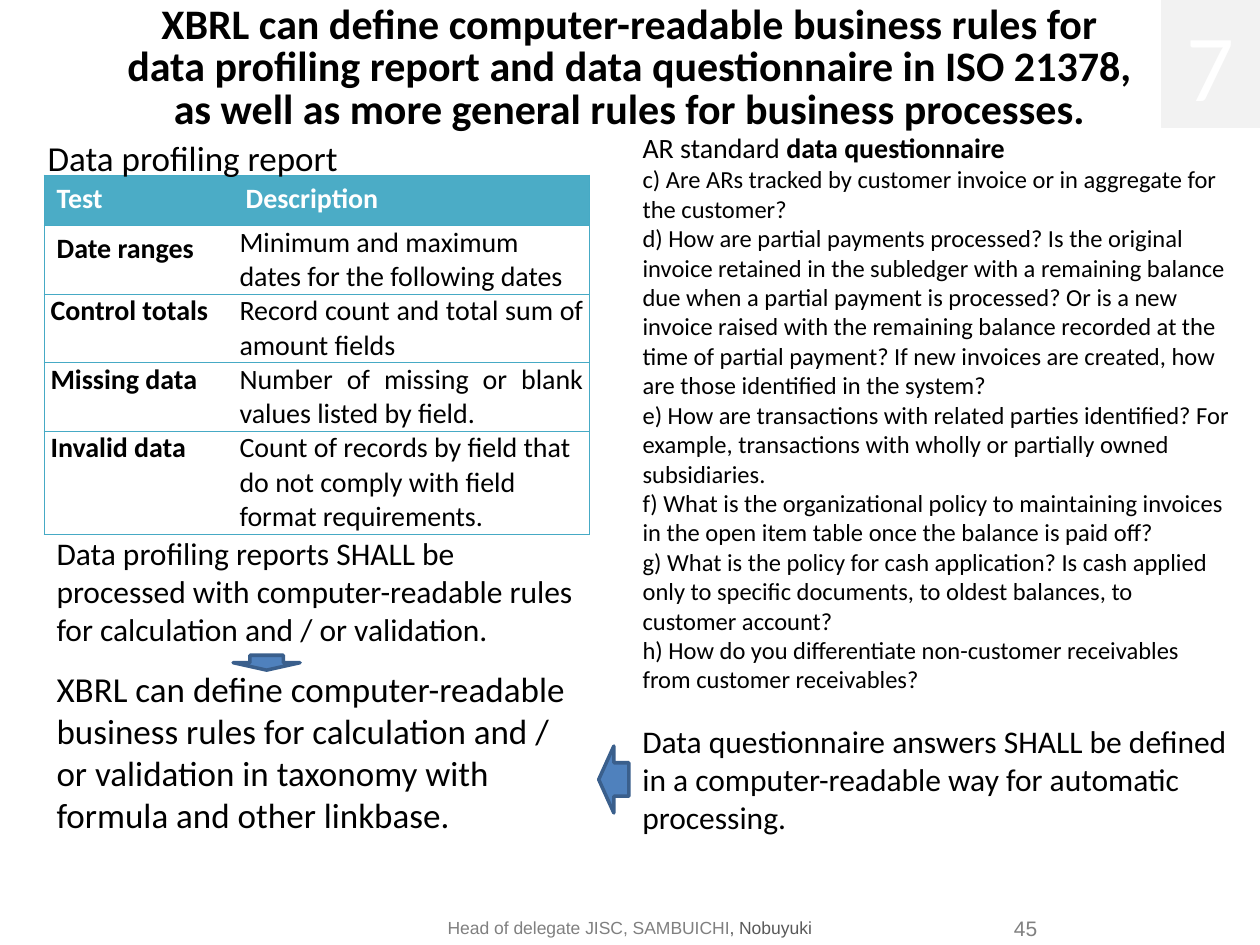
from dataclasses import dataclass

from lxml import etree
from pptx import Presentation
from pptx.dml.color import RGBColor
from pptx.enum.shapes import MSO_SHAPE
from pptx.enum.text import MSO_ANCHOR, MSO_AUTO_SIZE, PP_ALIGN
from pptx.oxml.ns import qn
from pptx.util import Cm, Pt

LEFT, CENTER, RIGHT, JUST = PP_ALIGN.LEFT, PP_ALIGN.CENTER, PP_ALIGN.RIGHT, PP_ALIGN.JUSTIFY
TOP, MIDDLE, BOTTOM = MSO_ANCHOR.TOP, MSO_ANCHOR.MIDDLE, MSO_ANCHOR.BOTTOM
RECT, DOWN, BACK = MSO_SHAPE.RECTANGLE, MSO_SHAPE.DOWN_ARROW, MSO_SHAPE.LEFT_ARROW
FIXED = MSO_AUTO_SIZE.NONE

BLACK = RGBColor(0x00, 0x00, 0x00)
WHITE = RGBColor(0xFF, 0xFF, 0xFF)
PALE = RGBColor(0xF2, 0xF2, 0xF2)
GRAY = RGBColor(0x80, 0x80, 0x80)
DARK = RGBColor(0x59, 0x59, 0x59)
TEAL = RGBColor(0x4B, 0xAC, 0xC6)
BLUE = RGBColor(0x4F, 0x81, 0xBD)
NAVY = RGBColor(0x3A, 0x5F, 0x8C)
EDGE = "46AAC5"


@dataclass
class Box:
    """Place and size in centimetres."""
    x: float
    y: float
    w: float
    h: float

    def lengths(self) -> tuple:
        return Cm(self.x), Cm(self.y), Cm(self.w), Cm(self.h)


@dataclass
class Note:
    box: Box
    texts: list
    size: int
    font: str = "Calibri"
    color: RGBColor = BLACK
    align: PP_ALIGN = LEFT
    anchor: MSO_ANCHOR = TOP


@dataclass
class Mark:
    kind: MSO_SHAPE
    box: Box
    fill: RGBColor
    line: RGBColor
    width: float


@dataclass
class Row:
    test: str
    about: str
    height: float
    align: PP_ALIGN = JUST
    roomy: bool = False


TITLE = ("XBRL can define computer-readable business rules for data profiling report "
         "and data questionnaire in ISO 21378, as well as more general rules for "
         "business processes.")

ITEMS = [
    "c) Are ARs tracked by customer invoice or in aggregate for the customer?",
    "d) How are partial payments processed? Is the original invoice retained in the "
    "subledger with a remaining balance due when a partial payment is processed? Or is a "
    "new invoice raised with the remaining balance recorded at the time of partial "
    "payment? If new invoices are created, how are those identified in the system?",
    "e) How are transactions with related parties identified? For example, transactions "
    "with wholly or partially owned subsidiaries.",
    "f) What is the organizational policy to maintaining invoices in the open item table "
    "once the balance is paid off?",
    "g) What is the policy for cash application? Is cash applied only to specific "
    "documents, to oldest balances, to customer account?",
    "h) How do you differentiate non-customer receivables from customer receivables?",
]

ROWS = [
    Row("Date ranges", "Minimum and maximum dates for the following dates", 1.38, LEFT, True),
    Row("Control totals", "Record count and total sum of amount fields", 1.38),
    Row("Missing data", "Number of missing or blank values listed by field.", 1.38),
    Row("Invalid data", "Count of records by field that do not comply with field format "
        "requirements.", 2.08, LEFT),
]

NOTES = [
    Note(Box(0.71, 2.62, 6.6, 1.12), ["Data profiling report"], 20),
    Note(Box(12.7, 14.43, 12.4, 2.57),
         ["Data questionnaire answers SHALL be defined in a computer-readable way for "
          "automatic processing."], 18),
    Note(Box(0.89, 10.64, 11, 2.57),
         ["Data profiling reports SHALL be processed with computer-readable rules for "
          "calculation and / or validation."], 18),
    Note(Box(0.89, 13.34, 11, 4.52),
         ["XBRL can define computer-readable business rules for calculation and / or "
          "validation in taxonomy with formula and other linkbase."], 20),
]
FOOTER = Note(Box(6.6, 18.36, 12.19, 0.69),
              ["Head of delegate JISC, SAMBUICHI", ", Nobuyuki"],
              10, "Arial", GRAY, CENTER, MIDDLE)
NUMBER = Note(Box(19.51, 18.26, 1.4, 0.79), ["45"], 12, "Arial", GRAY, RIGHT)

BADGE = Mark(RECT, Box(23.42, 0, 1.98, 2.57), PALE, PALE, 0.75)
ARROWS = [
    Mark(DOWN, Box(4.7, 13.21, 1.35, 0.3), BLUE, NAVY, 2),
    Mark(BACK, Box(12.07, 15.04, 0.61, 1.35), BLUE, NAVY, 2),
]


def style(run, size: float, color=BLACK, bold=False, font="Calibri") -> None:
    run.font.name, run.font.size = font, Pt(size)
    run.font.bold, run.font.color.rgb = bold, color


def inset(item, left: float, top: float, right: float, bottom: float) -> None:
    item.margin_left, item.margin_top = Cm(left), Cm(top)
    item.margin_right, item.margin_bottom = Cm(right), Cm(bottom)


def place(shape, box: Box) -> None:
    shape.left, shape.top, shape.width, shape.height = box.lengths()


def add_note(slide, note: Note):
    frame = slide.shapes.add_textbox(*note.box.lengths()).text_frame
    frame.word_wrap, frame.vertical_anchor = True, note.anchor
    para = frame.paragraphs[0]
    para.alignment = note.align
    for text in note.texts:
        run = para.add_run()
        run.text = text
        style(run, note.size, note.color, font=note.font)
    return frame


def add_mark(slide, mark: Mark):
    shape = slide.shapes.add_shape(mark.kind, *mark.box.lengths())
    shape.shadow.inherit = False
    shape.fill.solid()
    shape.fill.fore_color.rgb = mark.fill
    shape.line.color.rgb = mark.line
    shape.line.width = Pt(mark.width)
    return shape


def fill_title(slide) -> None:
    title = slide.shapes.title
    place(title, Box(2.49, 0, 20.4, 2.67))
    frame = title.text_frame
    frame.text = TITLE
    frame.auto_size, frame.vertical_anchor = FIXED, BOTTOM
    inset(frame, 0, 0, 0, 0)
    para = frame.paragraphs[0]
    para.alignment, para.line_spacing = CENTER, Pt(24)
    style(para.runs[0], 24, bold=True)


def fill_list(slide) -> None:
    body = slide.placeholders[1]
    place(body, Box(12.7, 2.51, 12.4, 11.71))
    frame = body.text_frame
    frame.text = "\n".join(["AR standard "] + ITEMS)
    frame.auto_size = FIXED
    for para in frame.paragraphs:
        para.space_before = Pt(0)
        props = para._p.get_or_add_pPr()
        props.set("marL", "0")
        props.set("indent", "0")
        etree.SubElement(props, qn("a:buNone"))
        style(para.runs[0], 14)
    head = frame.paragraphs[0]
    head.runs[0].font.size = Pt(16)
    term = head.add_run()
    term.text = "data questionnaire"
    style(term, 16, bold=True)


def set_edges(cell, shown: str) -> None:
    """Draw the sides named in shown (L, R, T, B) and hide the others."""
    props = cell._tc.get_or_add_tcPr()
    for spot, side in enumerate("LRTB"):
        line = etree.Element(qn(f"a:ln{side}"), w=str(Pt(0.75)))
        if side in shown:
            fill = etree.SubElement(line, qn("a:solidFill"))
            etree.SubElement(fill, qn("a:srgbClr"), val=EDGE)
        else:
            etree.SubElement(line, qn("a:noFill"))
        props.insert(spot, line)


def fill_cell(cell, text: str, col: int, head=False, align=LEFT, roomy=False) -> None:
    cell.text = text
    if head:
        cell.fill.solid()
        cell.fill.fore_color.rgb = TEAL
    else:
        cell.fill.background()
    if not roomy:
        inset(cell, 0.13, 0, 0.13, 0)
    para = cell.text_frame.paragraphs[0]
    para.alignment = align
    style(para.runs[0], 16, WHITE if head else BLACK, head or col == 0)
    set_edges(cell, "LTB" if col == 0 else "RTB")


def add_tests(slide) -> None:
    box = Box(0.89, 3.53, 11, 1.02 + sum(row.height for row in ROWS))
    table = slide.shapes.add_table(len(ROWS) + 1, 2, *box.lengths()).table
    table.first_row = table.horz_banding = False
    table.columns[0].width, table.columns[1].width = Cm(3.81), Cm(7.19)
    table.rows[0].height = Cm(1.02)
    for col, name in enumerate(["Test", "Description"]):
        fill_cell(table.cell(0, col), name, col, head=True, roomy=True)
    for at, row in enumerate(ROWS, 1):
        table.rows[at].height = Cm(row.height)
        fill_cell(table.cell(at, 0), row.test, 0, roomy=row.roomy)
        fill_cell(table.cell(at, 1), row.about, 1, align=row.align)


def main() -> None:
    deck = Presentation()
    deck.slide_width, deck.slide_height = Cm(25.4), Cm(19.05)
    slide = deck.slides.add_slide(deck.slide_layouts[1])
    fill_title(slide)
    fill_list(slide)
    add_tests(slide)
    for note in NOTES:
        add_note(slide, note)
    foot = add_note(slide, FOOTER)
    foot.paragraphs[0].runs[1].font.color.rgb = DARK
    inset(add_note(slide, NUMBER), 0.2, 0.2, 0, 0)
    badge = add_mark(slide, BADGE).text_frame
    badge.text = "7"
    badge.vertical_anchor = MIDDLE
    badge.paragraphs[0].alignment = CENTER
    style(badge.paragraphs[0].runs[0], 54, WHITE)
    for mark in ARROWS:
        add_mark(slide, mark)
    deck.save("out.pptx")


if __name__ == "__main__":
    main()
